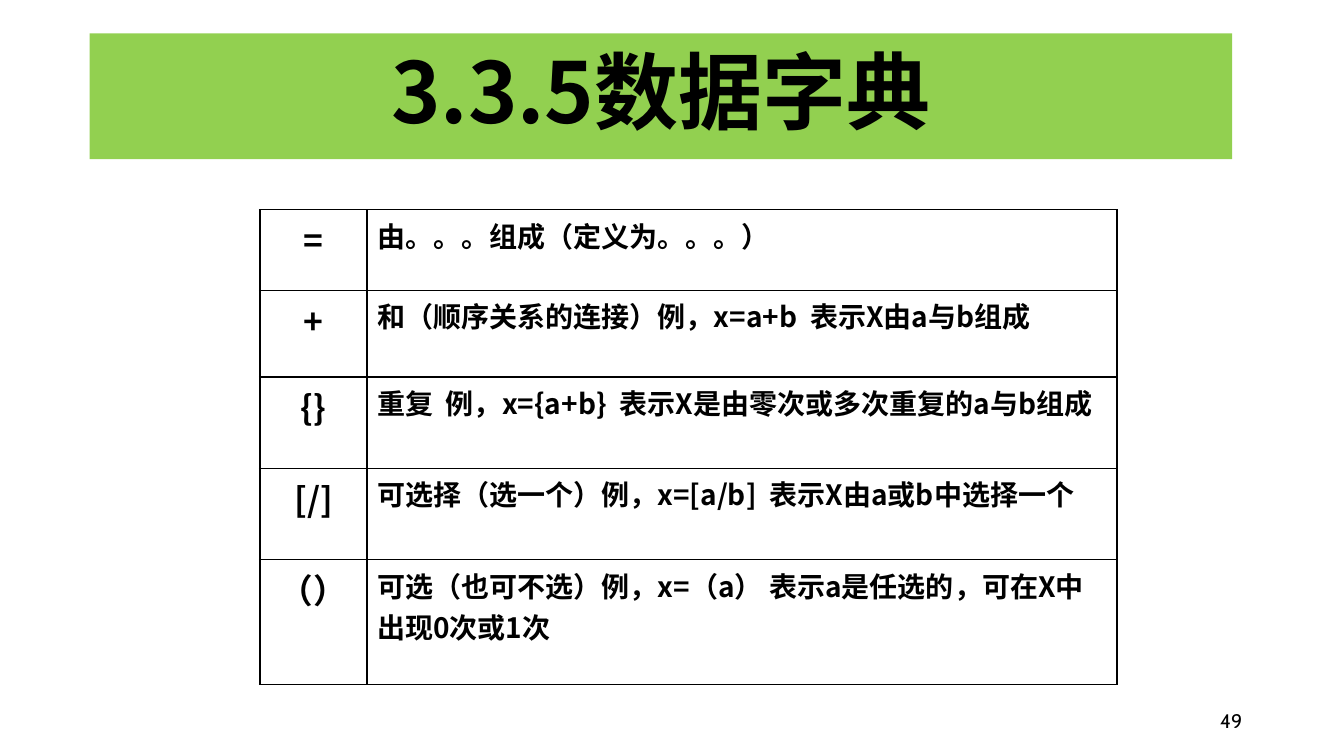
from dataclasses import dataclass

from lxml import etree
from pptx import Presentation
from pptx import util as u
from pptx.dml.color import RGBColor
from pptx.enum import shapes, text
from pptx.oxml.ns import qn


@dataclass(frozen=True)
class Theme:
    ink: str = "000000"
    banner: str = "92D050"
    body_font: str = "Noto Sans CJK SC"
    number_font: str = "Cabin"
    title_size: int = 60
    symbol_size: int = 24
    meaning_size: int = 20
    number_size: int = 14
    thin: float = 1
    thick: float = 2.25


NOTATION = [
    ("=", "由。。。组成（定义为。。。）", 0.8),
    ("+", "和（顺序关系的连接）例，x=a+b  表示X由a与b组成", 0.86),
    ("{}", "重复  例，x={a+b}  表示X是由零次或多次重复的a与b组成", 0.8),
    ("[/]", "可选择（选一个）例，x=[a/b]  表示X由a或b中选择一个", 0.8),
    ("（）", "可选（也可不选）例，x=（a） 表示a是任选的，可在X中出现0次或1次", 1.24),
]


class SlideBuilder:
    def __init__(self, slide, theme):
        self.slide = slide
        self.theme = theme

    def set_text(self, frame, content, size, align, font_name, bold=True, **paragraph_format):
        frame.word_wrap = True
        paragraph = frame.paragraphs[0]
        for name, value in {"alignment": align, **paragraph_format}.items():
            setattr(paragraph, name, value)
        run = paragraph.add_run()
        run.text = content
        for name, value in {"name": font_name, "size": u.Pt(size), "bold": bold}.items():
            setattr(run.font, name, value)
        run.font.color.rgb = RGBColor.from_string(self.theme.ink)
        latin = run.font._element.find(qn("a:latin"))
        latin.addnext(latin.makeelement(qn("a:ea"), {"typeface": font_name}))

    def banner(self, content, left, top, width, height):
        shape = self.slide.shapes.add_shape(
            shapes.MSO_SHAPE.RECTANGLE, *map(u.Inches, (left, top, width, height)))
        shape.shadow.inherit = False
        shape.fill.solid()
        shape.fill.fore_color.rgb = RGBColor.from_string(self.theme.banner)
        shape.line.fill.background()
        shape.text_frame.vertical_anchor = text.MSO_ANCHOR.MIDDLE
        self.set_text(shape.text_frame, content, self.theme.title_size,
                      text.PP_ALIGN.CENTER, self.theme.body_font, line_spacing=0.9)

    def border(self, cell, widths):
        """Draw the cell's sides; widths maps L, R, T, B (in that order) to points."""
        properties = cell._tc.get_or_add_tcPr()
        for side, points in widths.items():
            line = etree.SubElement(properties, qn(f"a:ln{side}"), w=str(u.Pt(points)))
            fill = etree.SubElement(line, qn("a:solidFill"))
            etree.SubElement(fill, qn("a:srgbClr"), val=self.theme.ink)

    def notation_table(self, rows, left, top, column_widths):
        theme = self.theme
        size = (sum(column_widths), sum(height for _, _, height in rows))
        table = self.slide.shapes.add_table(
            len(rows), len(column_widths), *map(u.Inches, (left, top, *size))).table
        table.first_row = table.horz_banding = False
        for column, width in zip(table.columns, column_widths):
            column.width = u.Inches(width)
        columns = [
            (theme.symbol_size, text.PP_ALIGN.CENTER, {"L": theme.thick, "R": theme.thin}),
            (theme.meaning_size, text.PP_ALIGN.LEFT, {"L": theme.thin, "R": theme.thick}),
        ]
        for row, (symbol, meaning, height) in zip(table.rows, rows):
            row.height = u.Inches(height)
            for cell, content, (points, align, sides) in zip(row.cells, (symbol, meaning), columns):
                self.border(cell, {**sides, "T": theme.thin, "B": theme.thin})
                cell.fill.background()
                self.set_text(cell.text_frame, content, points, align, theme.body_font)

    def page_number(self, content, left, top, width, height):
        box = self.slide.shapes.add_textbox(*map(u.Inches, (left, top, width, height)))
        box.text_frame.vertical_anchor = text.MSO_ANCHOR.MIDDLE
        self.set_text(box.text_frame, content, self.theme.number_size,
                      text.PP_ALIGN.RIGHT, self.theme.number_font, bold=False)


def main():
    presentation = Presentation()
    presentation.slide_width = u.Inches(13.33)
    presentation.slide_height = u.Inches(7.5)
    slide = presentation.slides.add_slide(presentation.slide_layouts[6])
    builder = SlideBuilder(slide, Theme())
    builder.banner("3.3.5数据字典", 0.89, 0.33, 11.33, 1.25)
    builder.notation_table(NOTATION, 2.58, 2.08, (1.06, 7.44))
    builder.page_number("49", 9.42, 6.95, 3, 0.4)
    presentation.save("out.pptx")


if __name__ == "__main__":
    main()
